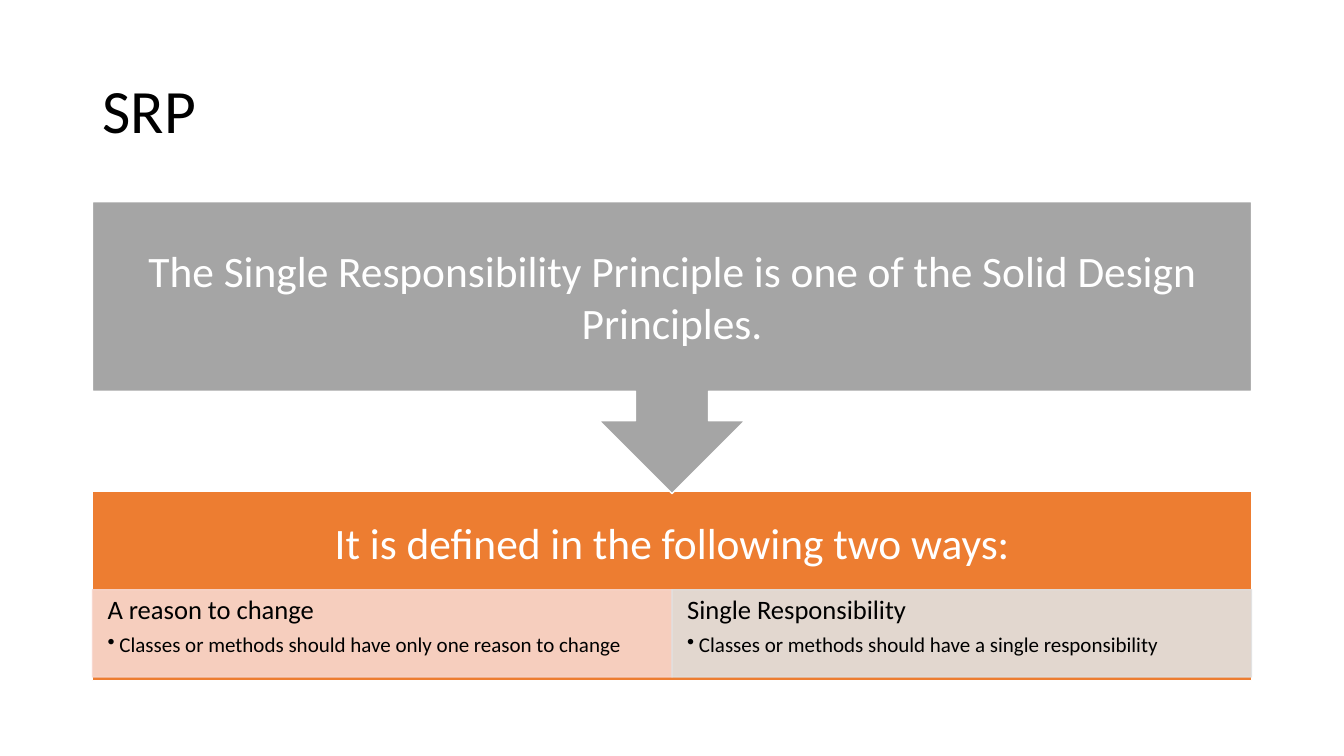
from collections import namedtuple

from lxml.etree import SubElement
from pptx import Presentation
from pptx.dml.color import RGBColor
from pptx.enum.shapes import MSO_SHAPE
from pptx.enum.text import MSO_ANCHOR, PP_ALIGN
from pptx.oxml.ns import qn
from pptx.util import Cm, Pt

BLACK = RGBColor(0x00, 0x00, 0x00)
WHITE = RGBColor(0xFF, 0xFF, 0xFF)
GREY = RGBColor(0xA5, 0xA5, 0xA5)
ORANGE = RGBColor(0xED, 0x7D, 0x31)
PALE_ORANGE = RGBColor(0xF8, 0xD7, 0xCE)
PALE_GREY = RGBColor(0xE1, 0xE1, 0xE1)
FONT = "Calibri"
PADDING = Cm(0.6)

Box = namedtuple("Box", "left top width height")
DEFINITIONS = [
    ("A reason to change",
     "Classes or methods should have only one reason to change", PALE_ORANGE),
    ("Single Responsibility",
     "Classes or methods should have a single responsibility", PALE_GREY),
]


def write(para, text, size, color=BLACK, align=PP_ALIGN.LEFT, spacing=1.0, after=0):
    """Put one formatted span of text into a paragraph."""
    para.alignment = align
    para.line_spacing = spacing
    para.space_before = Pt(0)
    para.space_after = Pt(after)
    span = para.add_run()
    span.text = text
    span.font.name = FONT
    span.font.size = Pt(size)
    span.font.color.rgb = color


def add_bullet(para, indent):
    """Give a paragraph a hanging round bullet."""
    properties = para._p.get_or_add_pPr()
    properties.set("marL", str(indent))
    properties.set("indent", str(-indent))
    SubElement(properties, qn("a:buChar"), char="•")


def set_frame(shape, anchor, side, top, bottom):
    """Set wrapping, anchor and margins, and return the text frame."""
    frame = shape.text_frame
    frame.word_wrap = True
    frame.vertical_anchor = anchor
    frame.margin_left = frame.margin_right = side
    frame.margin_top, frame.margin_bottom = top, bottom
    return frame


def add_panel(page, kind, box, fill, line, opacity=100):
    """Add a filled, outlined shape without a shadow."""
    panel = page.shapes.add_shape(kind, *box)
    panel.shadow.inherit = False
    panel.fill.solid()
    panel.fill.fore_color.rgb = fill
    panel.line.color.rgb = line
    panel.line.width = Pt(1)
    if opacity < 100:
        for color in panel._element.spPr.iter(qn("a:srgbClr")):
            SubElement(color, qn("a:alpha"), val=str(opacity * 1000))
    return panel


def add_title(page, box, text):
    """Move and fill the title placeholder."""
    title = page.shapes.title
    title.left, title.top, title.width, title.height = box
    title.text_frame.vertical_anchor = MSO_ANCHOR.MIDDLE
    write(title.text_frame.paragraphs[0], text, 44, spacing=0.9)


def add_principle(page, box, text):
    """Add the grey statement whose arrow points at the panel below."""
    callout = add_panel(page, MSO_SHAPE.DOWN_ARROW_CALLOUT, box, GREY, WHITE)
    frame = set_frame(callout, MSO_ANCHOR.MIDDLE, PADDING, PADDING, PADDING)
    write(frame.paragraphs[0], text, 31, WHITE, PP_ALIGN.CENTER)


def add_definition(page, box, heading, detail, fill):
    """Add one tinted cell with a heading and a bullet."""
    cell = add_panel(page, MSO_SHAPE.RECTANGLE, box, fill, fill, opacity=90)
    frame = set_frame(cell, MSO_ANCHOR.TOP, Cm(0.38), Cm(0.08), Cm(0.08))
    write(frame.paragraphs[0], heading, 19, after=6.65)
    para = frame.add_paragraph()
    write(para, detail, 15, spacing=0.9)
    add_bullet(para, Cm(0.3))


def add_definitions(page, box, heading, definitions):
    """Add the orange panel with its heading and a row of equal cells."""
    panel = add_panel(page, MSO_SHAPE.RECTANGLE, box, ORANGE, WHITE)
    heading_height = Cm(2.59)
    frame = set_frame(panel, MSO_ANCHOR.MIDDLE, PADDING, PADDING,
                      box.height - heading_height + PADDING)
    write(frame.paragraphs[0], heading, 31, WHITE, PP_ALIGN.CENTER)
    cell_width = box.width // len(definitions)
    for column, definition in enumerate(definitions):
        cell = Box(box.left + column * cell_width, box.top + Cm(2.49),
                   cell_width, Cm(2.2))
        add_definition(page, cell, *definition)


def build_slide(deck):
    """Build the slide on the single responsibility principle."""
    page = deck.slides.add_slide(deck.slide_layouts[5])
    left, width = Cm(2.33), Cm(29.21)
    add_title(page, Box(left, Cm(1.01), width, Cm(3.68)), "SRP")
    add_definitions(page, Box(left, Cm(12.37), width, Cm(4.78)),
                    "It is defined in the following two ways:", DEFINITIONS)
    add_principle(page, Box(left, Cm(5.08), width, Cm(7.36)),
                  "The Single Responsibility Principle is one of the "
                  "Solid Design Principles.")


deck = Presentation()
deck.slide_width, deck.slide_height = Cm(33.87), Cm(19.05)
build_slide(deck)
deck.save("out.pptx")
